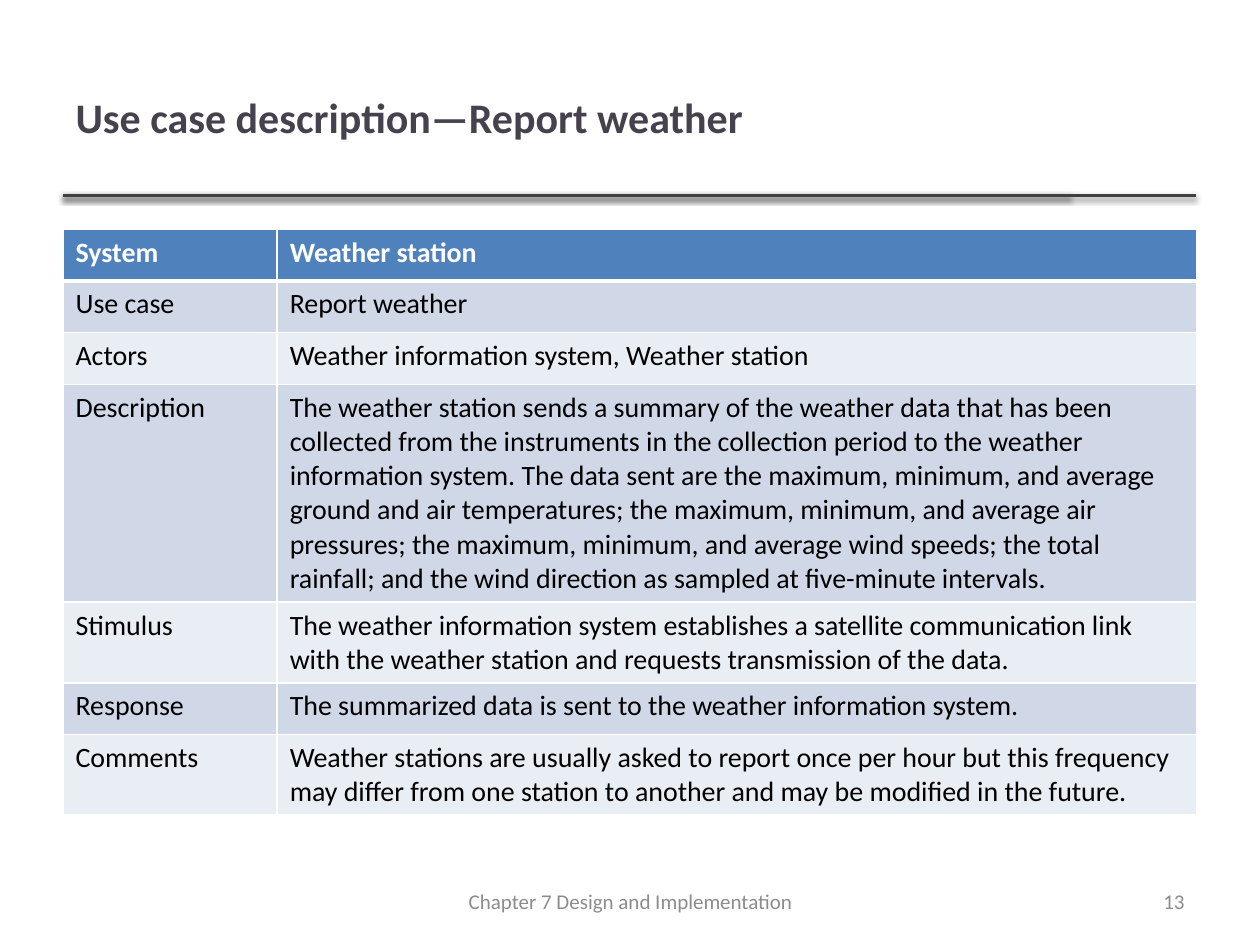
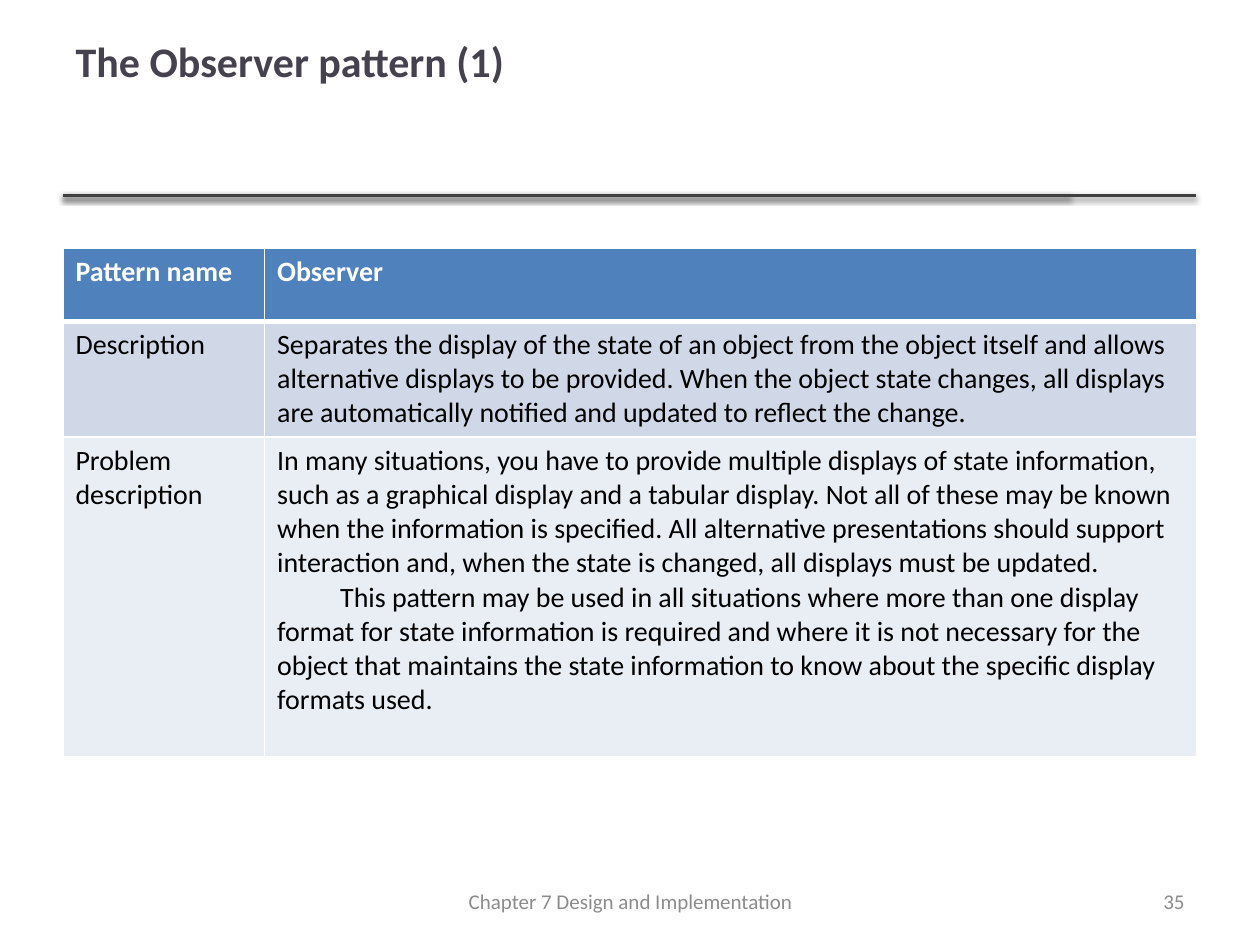
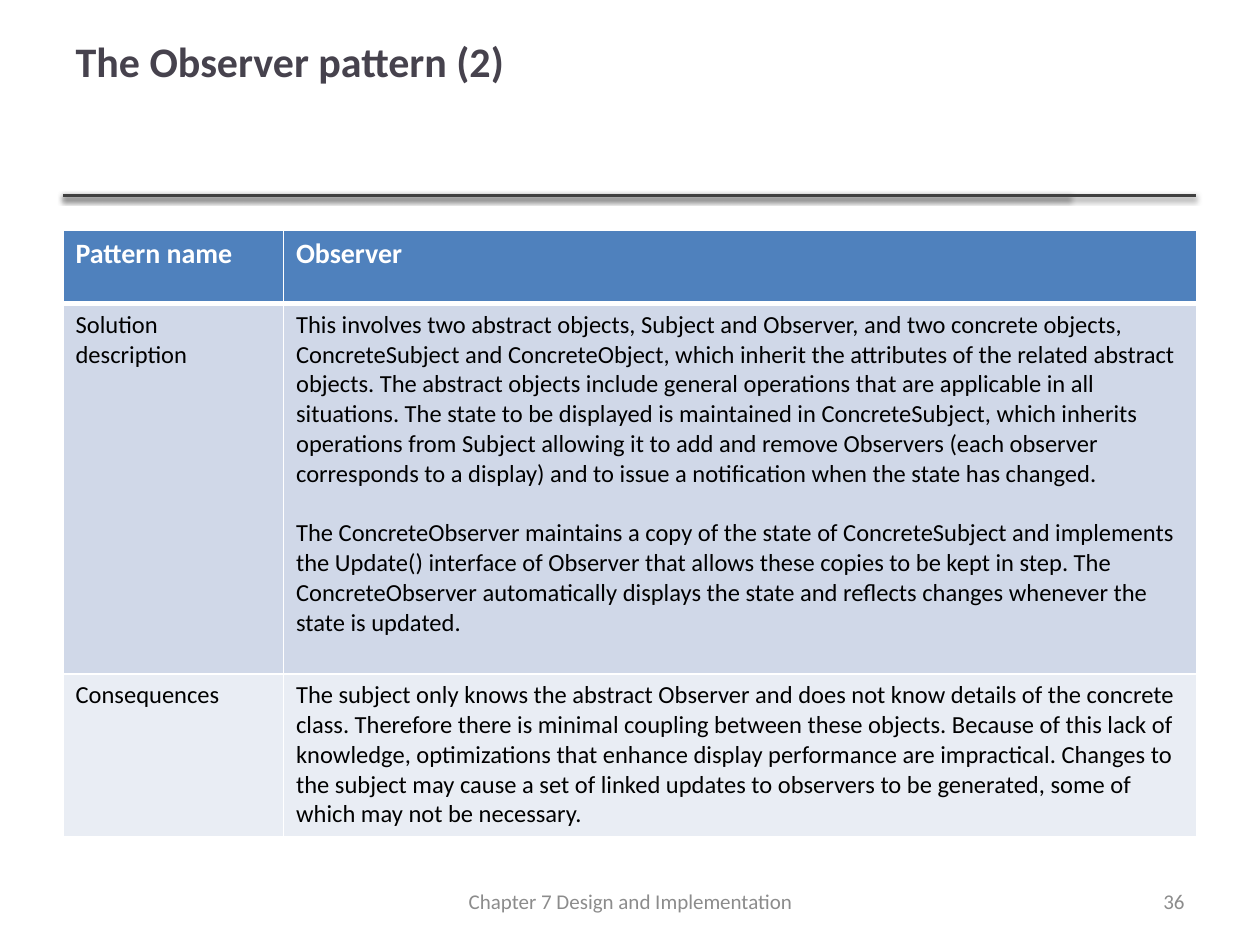
from lxml import etree
from pptx import Presentation
from pptx.dml.color import RGBColor
from pptx.enum.shapes import MSO_CONNECTOR
from pptx.enum.text import MSO_ANCHOR, MSO_AUTO_SIZE, PP_ALIGN
from pptx.oxml.ns import qn
from pptx.util import Inches, Pt

STRAIGHT = MSO_CONNECTOR.STRAIGHT
MIDDLE = MSO_ANCHOR.MIDDLE
NO_AUTOFIT = MSO_AUTO_SIZE.NONE
LEFT, CENTER, RIGHT = PP_ALIGN.LEFT, PP_ALIGN.CENTER, PP_ALIGN.RIGHT

FONT = "Calibri"
TITLE_ONLY_LAYOUT = 5
FOOTER = "Chapter 7 Design and Implementation"
COLORS = {
    "title": "46424D",
    "rule": "404040",
    "shadow": "000000",
    "footer": "8C8C8C",
    "header": "4F81BD",
    "header_text": "FFFFFF",
    "border": "FFFFFF",
    "band_dark": "D0D8E8",
    "band_light": "E9EDF4",
    "text": "000000",
}

USE_CASE_ROWS = [
    ("System", "Weather station"),
    ("Use case", "Report weather"),
    ("Actors", "Weather information system, Weather station"),
    ("Description",
     "The weather station sends a summary of the weather data that has been collected from "
     "the instruments in the collection period to the weather information system. The data "
     "sent are the maximum, minimum, and average ground and air temperatures; the maximum, "
     "minimum, and average air pressures; the maximum, minimum, and average wind speeds; the "
     "total rainfall; and the wind direction as sampled at five-minute intervals."),
    ("Stimulus",
     "The weather information system establishes a satellite communication link with the "
     "weather station and requests transmission of the data."),
    ("Response", "The summarized data is sent to the weather information system."),
    ("Comments",
     "Weather stations are usually asked to report once per hour but this frequency may "
     "differ from one station to another and may be modified in the future."),
]

OBSERVER_PROBLEM_ROWS = [
    ("Pattern name", "Observer"),
    ("Description",
     "Separates the display of the state of an object from the object itself and allows "
     "alternative displays to be provided. When the object state changes, all displays are "
     "automatically notified and updated to reflect the change."),
    ("Problem description",
     "In many situations, you have to provide multiple displays of state information, such "
     "as a graphical display and a tabular display. Not all of these may be known when the "
     "information is specified. All alternative presentations should support interaction "
     "and, when the state is changed, all displays must be updated.\n"
     "This pattern may be used in all situations where more than one display format for "
     "state information is required and where it is not necessary for the object that "
     "maintains the state information to know about the specific display formats used."),
]

OBSERVER_SOLUTION_ROWS = [
    ("Pattern name", "Observer"),
    ("Solution description",
     "This involves two abstract objects, Subject and Observer, and two concrete objects, "
     "ConcreteSubject and ConcreteObject, which inherit the attributes of the related "
     "abstract objects. The abstract objects include general operations that are applicable "
     "in all situations. The state to be displayed is maintained in ConcreteSubject, which "
     "inherits operations from Subject allowing it to add and remove Observers (each "
     "observer corresponds to a display) and to issue a notification when the state has "
     "changed.\n"
     "The ConcreteObserver maintains a copy of the state of ConcreteSubject and implements "
     "the Update() interface of Observer that allows these copies to be kept in step. The "
     "ConcreteObserver automatically displays the state and reflects changes whenever the "
     "state is updated."),
    ("Consequences",
     "The subject only knows the abstract Observer and does not know details of the concrete "
     "class. Therefore there is minimal coupling between these objects. Because of this lack "
     "of knowledge, optimizations that enhance display performance are impractical. Changes "
     "to the subject may cause a set of linked updates to observers to be generated, some of "
     "which may not be necessary."),
]


def write_text(text_frame, text, size=16, color="text", bold=False, align=LEFT,
               later_indent=0, later_space=0):
    """Write one paragraph per line; the later_ options format all but the first."""
    text_frame.word_wrap = True
    for index, line in enumerate(text.split("\n")):
        paragraph = text_frame.add_paragraph() if index else text_frame.paragraphs[0]
        paragraph.alignment = align
        if index and later_indent:
            paragraph._p.get_or_add_pPr().set("indent", str(Inches(later_indent)))
        if index and later_space:
            paragraph.space_before = Pt(later_space)
        run = paragraph.add_run()
        run.text = line
        run.font.name = FONT
        run.font.size = Pt(size)
        run.font.bold = bold
        run.font.color.rgb = RGBColor.from_string(COLORS[color])


def add_title(slide, text, top, width):
    title = slide.shapes.title
    title.left, title.top = Inches(0.5), Inches(top)
    title.width, title.height = Inches(width), Inches(1.25)
    title.text_frame.auto_size = NO_AUTOFIT
    title.text_frame.vertical_anchor = MIDDLE
    write_text(title.text_frame, text, size=24, color="title", bold=True)


def add_rule(slide, right):
    """Draw a line under the title with a soft shadow below it."""
    rule = slide.shapes.add_connector(
        STRAIGHT, Inches(0.5), Inches(1.55), Inches(right), Inches(1.55))
    rule.line.width = Pt(2)
    rule.line.color.rgb = RGBColor.from_string(COLORS["rule"])
    effects = etree.SubElement(rule._element.spPr, qn("a:effectLst"))
    shadow = etree.SubElement(effects, qn("a:outerShdw"), blurRad=str(Pt(3.1)),
                              dist=str(Pt(1.6)), dir="5400000", rotWithShape="0")
    color = etree.SubElement(shadow, qn("a:srgbClr"), val=COLORS["shadow"])
    etree.SubElement(color, qn("a:alpha"), val="38000")


def add_footer_text(slide, text, left, width, align):
    box = slide.shapes.add_textbox(Inches(left), Inches(6.95), Inches(width), Inches(0.4))
    box.text_frame.vertical_anchor = MIDDLE
    write_text(box.text_frame, text, size=12, color="footer", align=align)


def set_borders(cell, top=1, bottom=1):
    properties = cell._tc.get_or_add_tcPr()
    for side, width in (("L", 1), ("R", 1), ("T", top), ("B", bottom)):
        border = etree.SubElement(properties, qn(f"a:ln{side}"), w=str(Pt(width)))
        fill = etree.SubElement(border, qn("a:solidFill"))
        etree.SubElement(fill, qn("a:srgbClr"), val=COLORS["border"])


def add_description_table(slide, rows, top, label_width, heights, body_size=16,
                          **paragraph_format):
    """Add a two-column table with a header row and alternating bands."""
    frame = slide.shapes.add_table(len(rows), 2, Inches(0.5), Inches(top),
                                   Inches(9), Inches(sum(heights)))
    table = frame.table
    table.columns[0].width = Inches(label_width)
    table.columns[1].width = Inches(9 - label_width)
    for row_index, (texts, height) in enumerate(zip(rows, heights)):
        table.rows[row_index].height = Inches(height)
        is_header = row_index == 0
        band = "header" if is_header else ("band_light", "band_dark")[row_index % 2]
        for column_index, text in enumerate(texts):
            cell = table.cell(row_index, column_index)
            set_borders(cell, top=3 if row_index == 1 else 1, bottom=3 if is_header else 1)
            cell.fill.solid()
            cell.fill.fore_color.rgb = RGBColor.from_string(COLORS[band])
            write_text(cell.text_frame, text, size=16 if is_header else body_size,
                       color="header_text" if is_header else "text", bold=is_header,
                       **paragraph_format)


def add_base_slide(presentation, title, number, title_top=-0.14, title_width=9):
    """Add a slide with the title, rules and footer that all slides share."""
    slide = presentation.slides.add_slide(presentation.slide_layouts[TITLE_ONLY_LAYOUT])
    for right in (8.49, 9.49):
        add_rule(slide, right)
    add_title(slide, title, title_top, title_width)
    add_footer_text(slide, FOOTER, 3.42, 3.17, CENTER)
    add_footer_text(slide, str(number), 7.17, 2.33, RIGHT)
    return slide


def main():
    presentation = Presentation()
    presentation.slide_width, presentation.slide_height = Inches(10), Inches(7.5)

    # Use case table
    slide = add_base_slide(presentation, "Use case description—Report weather", 13,
                           title_top=0.3, title_width=7.98)
    add_description_table(slide, USE_CASE_ROWS, 1.82, 1.7,
                          [0.41, 0.41, 0.41, 1.73, 0.64, 0.41, 0.64])

    # Observer pattern: problem
    slide = add_base_slide(presentation, "The Observer pattern (1)", 35)
    add_description_table(slide, OBSERVER_PROBLEM_ROWS, 1.97, 1.6, [0.58, 0.92, 2.54],
                          later_indent=0.5)

    # Observer pattern: solution
    slide = add_base_slide(presentation, "The Observer pattern (2)", 36)
    add_description_table(slide, OBSERVER_SOLUTION_ROWS, 1.83, 1.75, [0.58, 2.94, 1.29],
                          body_size=14, later_space=17)

    presentation.save("out.pptx")


if __name__ == "__main__":
    main()
